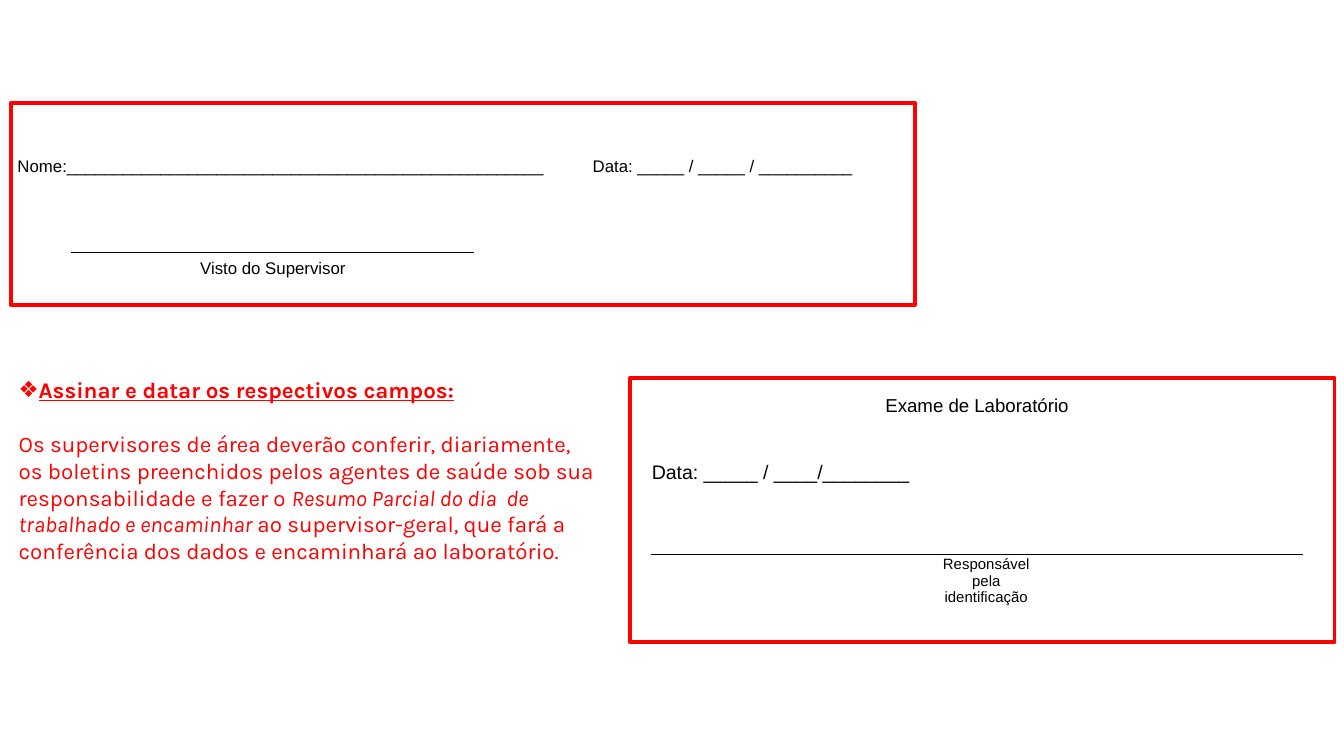
from dataclasses import dataclass

from lxml.etree import SubElement
from pptx import Presentation
from pptx.dml.color import RGBColor
from pptx.enum.shapes import MSO_SHAPE as Shape
from pptx.enum.text import MSO_ANCHOR as Anchor, MSO_AUTO_SIZE as AutoSize, PP_ALIGN as Align
from pptx.oxml import parse_xml
from pptx.oxml.ns import nsdecls, qn
from pptx.util import Inches, Pt


@dataclass(frozen=True)
class Theme:
    """Colours, fonts, type sizes and line widths of the page."""

    red: str = "FF0000"
    black: str = "000000"
    form_font: str = "Arial"
    note_font: str = "Karla"
    note: float = 12
    date: float = 10.5
    heading: float = 10
    field: float = 9
    caption: float = 8
    empty: int = 6
    frame: float = 2
    rule: float = 0.5


THEME = Theme()
WIDTH = Inches(10)
HEIGHT = WIDTH * 9 // 16
NO_STYLE = "{2D5ABB26-0587-4C30-8999-92F81FD0307C}"


def across(percent):
    """Return a percentage of the slide width."""
    return round(WIDTH * percent / 100)


def down(percent):
    """Return a percentage of the slide height."""
    return round(HEIGHT * percent / 100)


def place(left, top, width, height):
    """Turn percentages of the slide into a position and size."""
    return across(left), down(top), across(width), down(height)


def add_text(para, text, size, font=THEME.form_font, color=THEME.black,
             bold=False, italic=False, underline=False):
    """Append a formatted span to a paragraph."""
    span = para.add_run()
    span.text = text
    style = span.font
    style.name, style.size = font, Pt(size)
    style.bold, style.italic, style.underline = bold, italic, underline
    style.color.rgb = RGBColor.from_string(color)


def add_frame(page, *area):
    """Draw an unfilled red rectangle."""
    frame = page.shapes.add_shape(Shape.RECTANGLE, *place(*area))
    frame.shadow.inherit = False
    frame.fill.background()
    frame.line.color.rgb = RGBColor.from_string(THEME.red)
    frame.line.width = Pt(THEME.frame)


def clear_cell(cell):
    """Remove the fill and borders of a cell and make it compact."""
    cell.margin_left = cell.margin_right = cell.margin_top = Inches(0.01)
    cell.margin_bottom = 0
    cell.vertical_anchor = Anchor.BOTTOM
    cell.fill.background()
    for order, side in enumerate(("lnL", "lnR", "lnT", "lnB")):
        border = parse_xml(f'<a:{side} {nsdecls("a")} w="{Pt(THEME.rule)}"><a:noFill/></a:{side}>')
        cell._tc.get_or_add_tcPr().insert(order, border)
    end = SubElement(cell.text_frame.paragraphs[0]._p, qn("a:endParaRPr"))
    end.set("sz", str(THEME.empty * 100))


def add_form(page, left, top, columns, rows):
    """Add an unstyled table with compact, empty cells."""
    area = place(left, top, sum(columns), sum(rows))
    table = page.shapes.add_table(len(rows), len(columns), *area).table
    table.first_row = table.horz_banding = False
    table._tbl.tblPr.find(qn("a:tableStyleId")).text = NO_STYLE
    for column, width in zip(table.columns, columns):
        column.width = across(width)
    for row, height in zip(table.rows, rows):
        row.height = down(height)
    for cell in table.iter_cells():
        clear_cell(cell)
    return table


def merge_across(table, row, column, span):
    """Merge neighbouring cells of one row."""
    table.cell(row, column).merge(table.cell(row, column + span - 1))


def fill_field(table, row, column, text, size, span=1, align=Align.LEFT):
    """Write a field, merging it over the given number of columns."""
    if span > 1:
        merge_across(table, row, column, span)
    para = table.cell(row, column).text_frame.paragraphs[0]
    para.alignment = align
    add_text(para, text, size)


def add_rule(table, row, columns):
    """Draw a signature line below a row over the given columns."""
    for column in columns:
        for line_row, side in ((row, "lnB"), (row + 1, "lnT")):
            border = table.cell(line_row, column)._tc.tcPr.find(qn(f"a:{side}"))
            border.remove(border[0])
            fill = SubElement(border, qn("a:solidFill"))
            SubElement(fill, qn("a:srgbClr")).set("val", THEME.black)


def add_laboratory_form(page):
    """Add the laboratory examination form."""
    columns = [5.1, 2.7, 1.6, 1.6, 2.6, 4.2, 3.2, 8, 1.4, 4.2, 4.2, 4.2, 5.6]
    rows = [3.02, 5.6, 3.2, 3.2, 3.2, 3.02, 6.23, 2.67]
    table = add_form(page, 48.4, 52.09, columns, rows)
    for row, starts in [(1, (0, 2))] + [(row, (1, 3)) for row in range(3, 8)]:
        for column in starts:
            merge_across(table, row, column, 2)
    fill_field(table, 0, 0, "Exame de Laboratório", THEME.heading,
               span=len(columns), align=Align.CENTER)
    fill_field(table, 2, 0, "Data: _____ / ____/________", THEME.date, span=7)
    fill_field(table, 6, 7, "Responsável pela identificação", THEME.caption,
               align=Align.CENTER)
    add_rule(table, 5, range(len(columns)))


def add_supervisor_form(page):
    """Add the supervisor signature form."""
    columns = [4.1, 30, 5.3, 3.4, 3.4, 3.7] + [3.5] * 4 + [3.7]
    rows = [3.38, 4.98] + [3.38] * 4 + [3.02]
    table = add_form(page, 1.2, 14.93, columns, rows)
    fill_field(table, 1, 0, "Nome:" + "_" * 51, THEME.field, span=4)
    fill_field(table, 1, 4, "Data: _____ / _____ / __________", THEME.field, span=6)
    fill_field(table, 5, 1, "Visto do Supervisor", THEME.field, align=Align.CENTER)
    add_rule(table, 4, [1])


def add_note(page):
    """Add the instructions with a bulleted heading."""
    box = page.shapes.add_textbox(*place(0.4, 48.89, 44.9, 30.58))
    frame = box.text_frame
    frame.word_wrap = True
    frame.auto_size = AutoSize.SHAPE_TO_FIT_TEXT
    look = {"size": THEME.note, "font": THEME.note_font, "color": THEME.red}
    heading = frame.paragraphs[0]
    bullet = heading._p.get_or_add_pPr()
    SubElement(bullet, qn("a:buFont")).set("typeface", THEME.form_font)
    SubElement(bullet, qn("a:buChar")).set("char", "❖")
    add_text(heading, "Assinar e datar os respectivos campos:",
             bold=True, underline=True, **look)
    body = frame.add_paragraph()
    body.space_before = Pt(14.4)
    add_text(body, "Os supervisores de área deverão conferir, diariamente, os boletins "
             "preenchidos pelos agentes de saúde sob sua responsabilidade e fazer o ", **look)
    add_text(body, "Resumo Parcial do dia  de trabalhado e encaminhar ", italic=True, **look)
    add_text(body, "ao supervisor-geral, que fará a conferência dos dados e "
             "encaminhará ao laboratório.", **look)


def main():
    """Build and save the deck."""
    deck = Presentation()
    deck.slide_width, deck.slide_height = WIDTH, HEIGHT
    page = deck.slides.add_slide(deck.slide_layouts[6])
    add_laboratory_form(page)
    add_supervisor_form(page)
    add_frame(page, 0.8, 13.65, 67.3, 26.67)
    add_frame(page, 46.9, 49.96, 52.4, 35.02)
    add_note(page)
    deck.save("out.pptx")


if __name__ == "__main__":
    main()
